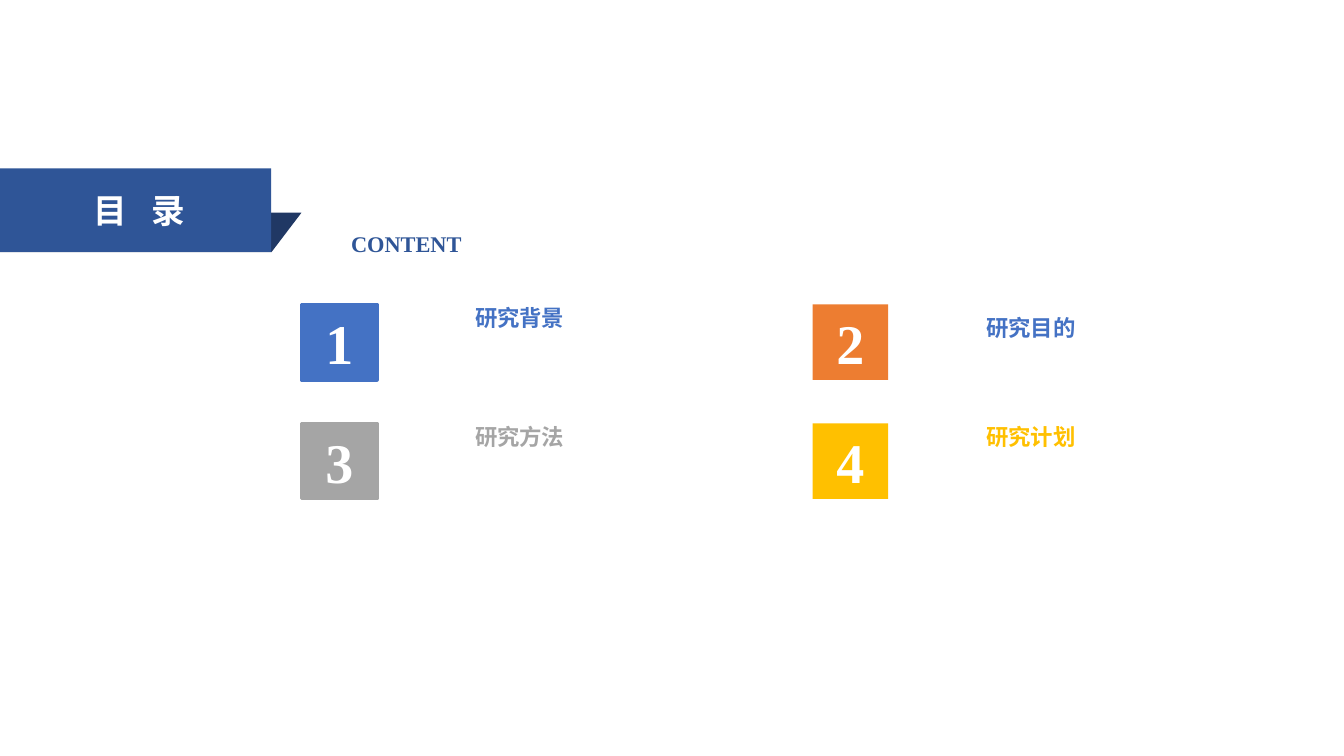
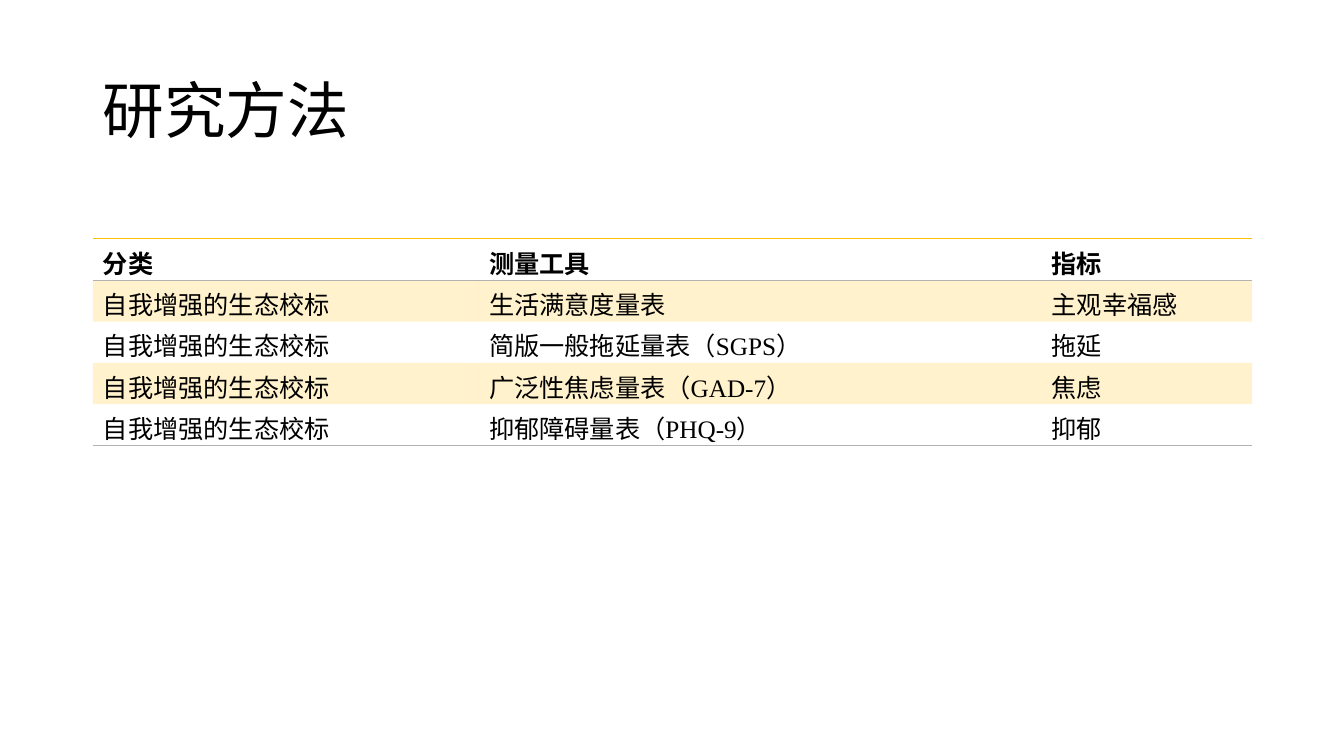
from lxml.etree import SubElement
from pptx import Presentation
from pptx.dml.color import RGBColor
from pptx.enum.shapes import MSO_SHAPE
from pptx.enum.text import MSO_ANCHOR, PP_ALIGN
from pptx.oxml.ns import qn
from pptx.util import Inches, Pt

SLIDE_W, SLIDE_H = 13.33, 7.5
FONT = "Times New Roman"
BLACK, WHITE = "000000", "FFFFFF"
NAVY, DEEP_BLUE = "203864", "2F5597"
BLUE, ORANGE, GREY, GOLD = "4472C4", "ED7D31", "A5A5A5", "FFC000"
RULE_GREY = "B2B2B2"
PLAIN_TABLE = "{2D5ABB26-0587-4C30-8999-92F81FD0307C}"


def color(hex_code):
    return RGBColor.from_string(hex_code)


def write(frame, text, size=18, ink=BLACK, bold=False, align=PP_ALIGN.LEFT,
          anchor=MSO_ANCHOR.MIDDLE, insets=None, line_spacing=None, tracking=0):
    """Fill a text frame; tracking is extra space per letter in points."""
    frame.word_wrap = True
    frame.vertical_anchor = anchor
    if insets:
        frame.margin_left, frame.margin_top, frame.margin_right, frame.margin_bottom = map(
            Inches, insets)
    paragraph = frame.paragraphs[0]
    paragraph.alignment = align
    if line_spacing:
        paragraph.line_spacing = line_spacing
    run = paragraph.add_run()
    run.text = text
    run.font.name, run.font.size, run.font.bold = FONT, Pt(size), bold
    run.font.color.rgb = color(ink)
    if tracking:
        run.font._element.set("spc", str(tracking * 100))


def add_text(slide, box, text, **style):
    label = slide.shapes.add_textbox(*map(Inches, box))
    write(label.text_frame, text, **style)


def add_block(slide, preset, box, fill, outline=None):
    block = slide.shapes.add_shape(preset, *map(Inches, box))
    block.shadow.inherit = False
    block.fill.solid()
    block.fill.fore_color.rgb = color(fill)
    if outline:
        block.line.color.rgb = color(outline)
        block.line.width = Pt(2.25)
    else:
        block.line.fill.background()
    return block


def add_ribbon(slide, left, top, width, height):
    """Heading band with a folded tail, and its English name beside it."""
    tail_h = 0.39
    fold = add_block(slide, MSO_SHAPE.PARALLELOGRAM,
                     (left, top + height - tail_h, width + 0.3, tail_h), NAVY)
    fold.adjustments[0] = 0.76
    band = add_block(slide, MSO_SHAPE.RECTANGLE, (left, top, width, height), DEEP_BLUE)
    write(band.text_frame, "目 录", size=24, ink=WHITE, bold=True, align=PP_ALIGN.CENTER,
          insets=(0.18, 0.05, 0.1, 0.05), tracking=6)
    add_text(slide, (left + width + 0.2, top + 0.56, 2.28, 0.37), "CONTENT",
             size=16, ink=DEEP_BLUE, bold=True, align=PP_ALIGN.CENTER)


def add_entry(slide, left, top, number, topic, fill, ink, outline=None, drop=0):
    """Numbered tile with its topic to the right, lowered by drop."""
    side = 0.75
    tile = add_block(slide, MSO_SHAPE.RECTANGLE, (left, top, side, side), fill, outline)
    write(tile.text_frame, str(number), size=40, ink=WHITE, bold=True,
          align=PP_ALIGN.CENTER)
    add_text(slide, (left + side, top + drop, 2.83, 0.27), topic, size=16, ink=ink,
             bold=True, align=PP_ALIGN.CENTER, insets=(0.16, 0, 0.16, 0))


def contents_slide(slide):
    add_ribbon(slide, 0, 1.67, 2.69, 0.83)
    entries = [
        ("研究背景", BLUE, BLUE, BLUE, 0),
        ("研究目的", ORANGE, BLUE, None, 0.09),
        ("研究方法", GREY, GREY, GREY, 0),
        ("研究计划", GOLD, GOLD, None, 0),
    ]
    for index, entry in enumerate(entries):
        row, column = divmod(index, 2)
        add_entry(slide, 2.99 + column * 5.07, 3.02 + row * 1.18, index + 1, *entry)


def set_borders(cell, **edges):
    """Draw the named edges (lnT, lnB) in the given colours."""
    properties = cell._tc.get_or_add_tcPr()
    for position, (edge, hex_code) in enumerate(edges.items()):
        line = properties.makeelement(qn(f"a:{edge}"), {"w": str(Pt(1))})
        SubElement(SubElement(line, qn("a:solidFill")), qn("a:srgbClr"), val=hex_code)
        properties.insert(position, line)


def tint(cell, hex_code, percent):
    cell.fill.solid()
    cell.fill.fore_color.rgb = color(hex_code)
    swatch = cell._tc.tcPr.find(qn("a:solidFill")).find(qn("a:srgbClr"))
    SubElement(swatch, qn("a:alpha"), val=str(percent * 1000))


def add_measures_table(slide, left, top, column_widths, row_height, rows):
    last = len(rows) - 1
    frame = slide.shapes.add_table(
        len(rows), len(column_widths), Inches(left), Inches(top),
        Inches(sum(column_widths)), Inches(row_height * len(rows)))
    table = frame.table
    table._tbl.tblPr.find(qn("a:tableStyleId")).text = PLAIN_TABLE
    table.horz_banding = False
    for column, width in zip(table.columns, column_widths):
        column.width = Inches(width)
    for r, values in enumerate(rows):
        table.rows[r].height = Inches(row_height)
        for c, value in enumerate(values):
            cell = table.cell(r, c)
            write(cell.text_frame, value, bold=r == 0, anchor=None)
            if r % 2:
                tint(cell, GOLD, 20)
            else:
                cell.fill.background()
            if r == 0:
                set_borders(cell, lnT=GOLD, lnB=RULE_GREY)
            elif r == last:
                set_borders(cell, lnB=RULE_GREY)


def methods_slide(slide):
    left, width = 0.92, 11.5
    add_text(slide, (left, 0.4, width, 1.45), "研究方法", size=44, line_spacing=0.9)
    category = "自我增强的生态校标"
    measures = [
        ("生活满意度量表", "主观幸福感"),
        ("简版一般拖延量表（SGPS）", "拖延"),
        ("广泛性焦虑量表（GAD-7）", "焦虑"),
        ("抑郁障碍量表（PHQ-9）", "抑郁"),
    ]
    rows = [("分类", "测量工具", "指标")] + [(category, *measure) for measure in measures]
    add_measures_table(slide, left, 2.37, (3.83, 5.58, 2.09), 0.41, rows)


def main():
    deck = Presentation()
    deck.slide_width, deck.slide_height = Inches(SLIDE_W), Inches(SLIDE_H)
    blank = deck.slide_layouts[6]
    for build in (contents_slide, methods_slide):
        build(deck.slides.add_slide(blank))
    deck.save("out.pptx")


if __name__ == "__main__":
    main()
